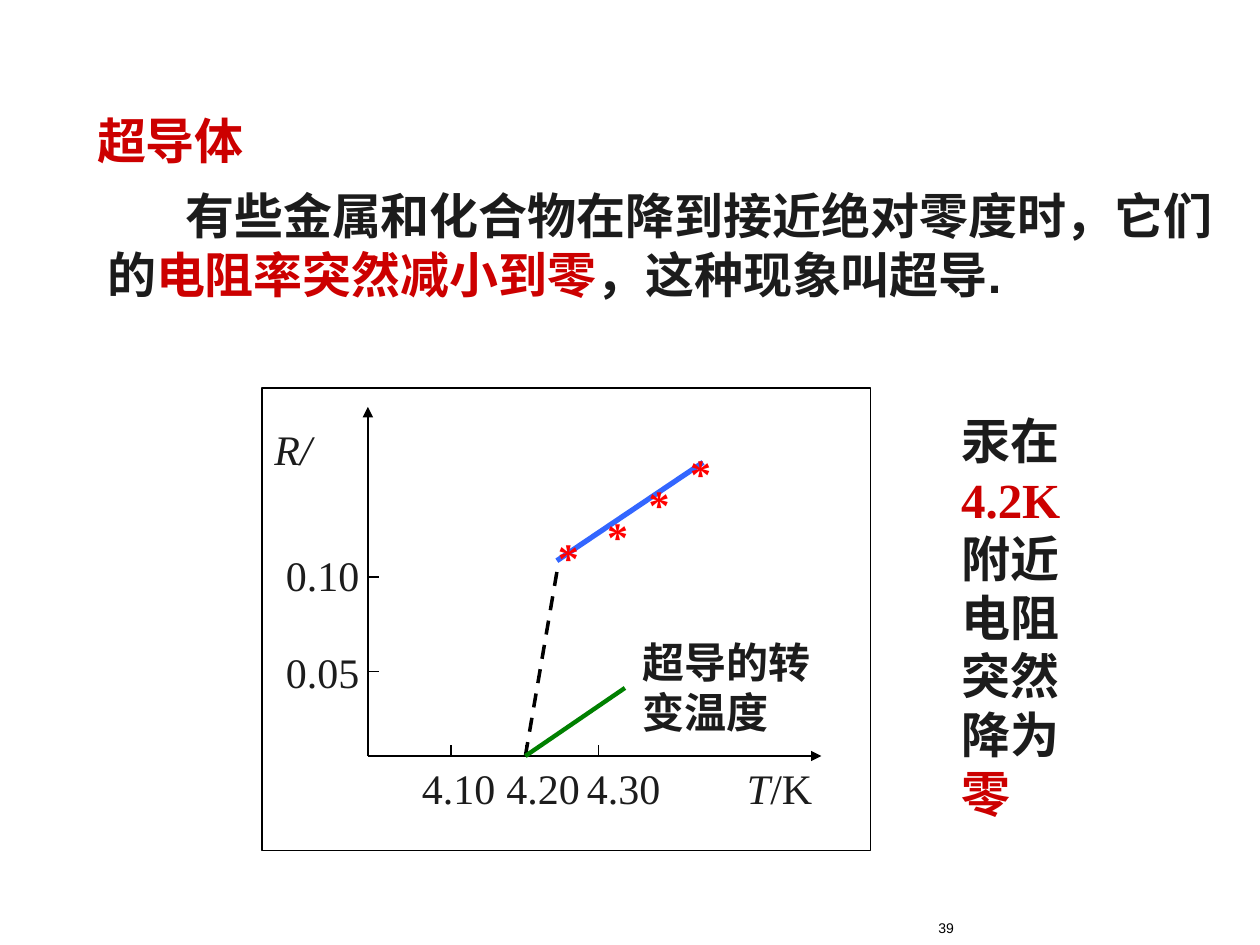
import pptx
import pptx.util
import pptx.dml.color
import pptx.enum.dml
import pptx.enum.shapes
import pptx.enum.text
import pptx.oxml.ns
import lxml.etree

Inches = pptx.util.Inches
INK, RED, BLACK = "1C1C1C", "CC0000", "000000"
SERIF, SANS = "Times New Roman", "Arial"
ORIGIN_X, ORIGIN_Y = 2.92, 6


def color(value):
    return pptx.dml.color.RGBColor.from_string(value)


def place(shape, left, top, width, height):
    shape.left, shape.top = Inches(left), Inches(top)
    shape.width, shape.height = Inches(width), Inches(height)


def write(shape, pieces, size, font=SERIF, bold=False, wrap=True):
    """Fill a shape with one paragraph of (text, colour, italic) pieces."""
    frame = shape.text_frame
    frame.word_wrap = wrap
    frame.auto_size = pptx.enum.text.MSO_AUTO_SIZE.NONE
    frame.vertical_anchor = pptx.enum.text.MSO_ANCHOR.TOP
    paragraph = frame.paragraphs[0]
    paragraph.alignment = pptx.enum.text.PP_ALIGN.LEFT
    paragraph.space_before = pptx.util.Pt(0)
    for text, text_color, italic in pieces:
        run = paragraph.add_run()
        run.text = text
        run.font.name, run.font.size = font, pptx.util.Pt(size)
        run.font.bold, run.font.italic = bold, italic
        run.font.color.rgb = color(text_color)
    return paragraph


def add_text(shapes, box, pieces, size, **style):
    shape = shapes.add_textbox(*(Inches(length) for length in box))
    return write(shape, pieces, size, **style)


def add_label(shapes, left, top, width, pieces, bold=False):
    add_text(shapes, (left, top, width, 0.5), pieces, 24, bold=bold, wrap=False)


def add_line(shapes, start, end, line_color=BLACK, width=0.75, dashed=False, arrow=False):
    connector = shapes.add_connector(
        pptx.enum.shapes.MSO_CONNECTOR.STRAIGHT,
        *(Inches(length) for length in (*start, *end)))
    connector.line.color.rgb = color(line_color)
    connector.line.width = pptx.util.Pt(width)
    if dashed:
        connector.line.dash_style = pptx.enum.dml.MSO_LINE.DASH
    if arrow:
        lxml.etree.SubElement(connector.line._get_or_add_ln(),
                              pptx.oxml.ns.qn("a:tailEnd"), type="triangle")
    lxml.etree.SubElement(connector._element.spPr, pptx.oxml.ns.qn("a:effectLst"))


def add_heading(slide):
    title = slide.shapes.title
    place(title, 0.67, 0.83, 3.25, 0.57)
    write(title, [("超导体", RED, False)], 28, bold=True)


def add_definition(slide):
    body = slide.placeholders[1]
    place(body, 0.75, 1.42, 9, 1.03)
    paragraph = write(body, [
        ("有些金属和化合物在降到接近绝对零度时，它们的", INK, False),
        ("电阻率突然减小到零", RED, False),
        ("，这种现象叫超导.", INK, False)], 28, font=SANS, bold=True)
    properties = paragraph._p.get_or_add_pPr()
    properties.set("marL", "0")
    properties.set("indent", str(Inches(0.62)))
    lxml.etree.SubElement(properties, pptx.oxml.ns.qn("a:buNone"))


def add_axes(shapes):
    origin = (ORIGIN_X, ORIGIN_Y)
    for end in ((ORIGIN_X, 3.23), (6.52, ORIGIN_Y)):
        add_line(shapes, origin, end, width=1, arrow=True)
    for text, tick_y, label_top in (("0.05", 5.33, 5.08), ("0.10", 4.58, 4.31)):
        add_line(shapes, (ORIGIN_X, tick_y), (ORIGIN_X + 0.09, tick_y))
        add_label(shapes, 2.17, label_top, 0.78, [(text, INK, False)])
    for text, tick_x, label_left in (("4.10", 3.58, 3.25), ("4.20", 4.17, 3.92),
                                     ("4.30", 4.75, 4.56)):
        add_line(shapes, (tick_x, ORIGIN_Y), (tick_x, ORIGIN_Y - 0.09))
        add_label(shapes, label_left, ORIGIN_Y, 0.78, [(text, INK, False)])
    add_label(shapes, 5.83, ORIGIN_Y, 0.72, [("T", INK, True), ("/K", INK, False)])
    add_label(shapes, 2.08, 3.31, 0.5, [("R/", INK, True)])


def add_resistance_plot(slide):
    shapes = slide.shapes.add_group_shape().shapes
    frame = shapes.add_shape(pptx.enum.shapes.MSO_SHAPE.RECTANGLE, Inches(2.08),
                             Inches(3.08), Inches(4.83), Inches(3.67))
    frame.shadow.inherit = False
    frame.fill.solid()
    frame.fill.fore_color.rgb = color("FFFFFF")
    frame.line.color.rgb = color(BLACK)
    frame.line.width = pptx.util.Pt(0.75)
    add_axes(shapes)

    transition = (4.17, ORIGIN_Y)
    add_line(shapes, transition, (4.43, 4.48), width=2, dashed=True)
    add_line(shapes, (4.42, 4.45), (5.58, 3.67), "3366FF", 3)
    for left, top in ((4.33, 4.17), (4.72, 4), (5.05, 3.75), (5.38, 3.5)):
        add_label(shapes, left, top, 0.37, [("*", "FF0000", False)], bold=True)
    add_line(shapes, transition, (4.96, 5.46), "008000", 2.5)
    add_text(shapes, (5, 5, 1.85, 0.9), [("超导的转变温度", INK, False)], 24, bold=True)


def main():
    presentation = pptx.Presentation()
    presentation.slide_width, presentation.slide_height = Inches(10), Inches(7.5)
    slide = presentation.slides.add_slide(presentation.slide_layouts[1])
    add_heading(slide)
    add_definition(slide)
    add_resistance_plot(slide)
    add_text(slide.shapes, (7.53, 3.21, 1.14, 3.37), [
        ("汞在", INK, False), ("4.2K", RED, False),
        ("附近电阻突然降为", INK, False), ("零", RED, False)], 28, bold=True)
    number = add_text(slide.shapes, (6.75, 7.25, 0.92, 0.25),
                      [("39", BLACK, False)], 8, font=SANS)
    number.alignment = pptx.enum.text.PP_ALIGN.RIGHT
    presentation.save("out.pptx")


if __name__ == "__main__":
    main()
